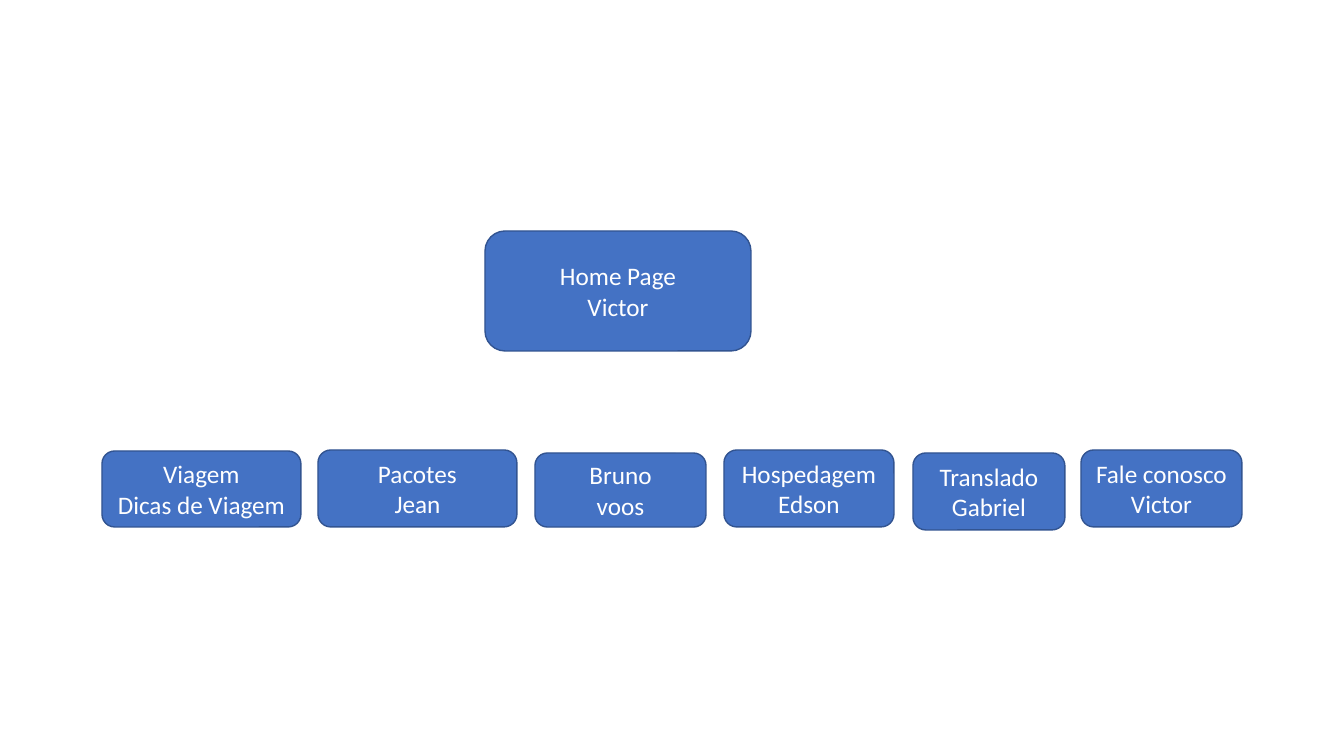
from dataclasses import dataclass

from pptx import Presentation
from pptx.dml.color import RGBColor
from pptx.enum.shapes import MSO_SHAPE
from pptx.enum.text import MSO_ANCHOR, PP_ALIGN
from pptx.util import Emu, Pt

ROUNDED = MSO_SHAPE.ROUNDED_RECTANGLE
MIDDLE = MSO_ANCHOR.MIDDLE
CENTER = PP_ALIGN.CENTER

EMU_PER_PIXEL = 914400 / 100.8
SLIDE_WIDTH, SLIDE_HEIGHT = 1344, 756


@dataclass(frozen=True)
class Theme:
    font: str = "Calibri"
    text_size: int = 18
    text: str = "FFFFFF"
    fill: str = "4472C4"
    outline: str = "325491"
    outline_width: int = 1


THEME = Theme()

HOME_BOX = (485, 231, 266, 120)
PAGES_BOX = (102, 450, 1140, 80)

# Left, top, width and height within the row, then the lines of text
PAGES = [
    (0, 1, 199, 76, ("Viagem", "Dicas de Viagem")),
    (216, 0, 199, 77, ("Pacotes", "Jean")),
    (433, 3, 171, 74, ("Bruno", "voos")),
    (622, 0, 170, 77, ("Hospedagem", "Edson")),
    (811, 3, 152, 77, ("Translado", "Gabriel")),
    (979, 0, 161, 77, ("Fale conosco", "Victor")),
]


def pixels(length):
    return Emu(round(length * EMU_PER_PIXEL))


def write_text(shape, lines, *, size=THEME.text_size, color=THEME.text,
               font=THEME.font, align=CENTER, anchor=MIDDLE):
    frame = shape.text_frame
    frame.word_wrap = True
    frame.vertical_anchor = anchor
    frame.text = "\n".join(lines)
    for paragraph in frame.paragraphs:
        paragraph.alignment = align
        for run in paragraph.runs:
            run.font.name = font
            run.font.size = Pt(size)
            run.font.color.rgb = RGBColor.from_string(color)


def add_page_box(slide, box, lines):
    shape = slide.shapes.add_shape(ROUNDED, *map(pixels, box))
    shape.shadow.inherit = False
    shape.fill.solid()
    shape.fill.fore_color.rgb = RGBColor.from_string(THEME.fill)
    shape.line.color.rgb = RGBColor.from_string(THEME.outline)
    shape.line.width = Pt(THEME.outline_width)
    write_text(shape, lines)


def add_pages_row(slide, box):
    row_left, row_top, _, _ = box
    for left, top, width, height, lines in PAGES:
        add_page_box(slide, (row_left + left, row_top + top, width, height), lines)


def build_site_map(presentation):
    slide = presentation.slides.add_slide(presentation.slide_layouts[6])
    # Home page
    add_page_box(slide, HOME_BOX, ("Home Page", "Victor"))
    # Pages below it
    add_pages_row(slide, PAGES_BOX)


presentation = Presentation()
presentation.slide_width = pixels(SLIDE_WIDTH)
presentation.slide_height = pixels(SLIDE_HEIGHT)
build_site_map(presentation)
presentation.save("out.pptx")
